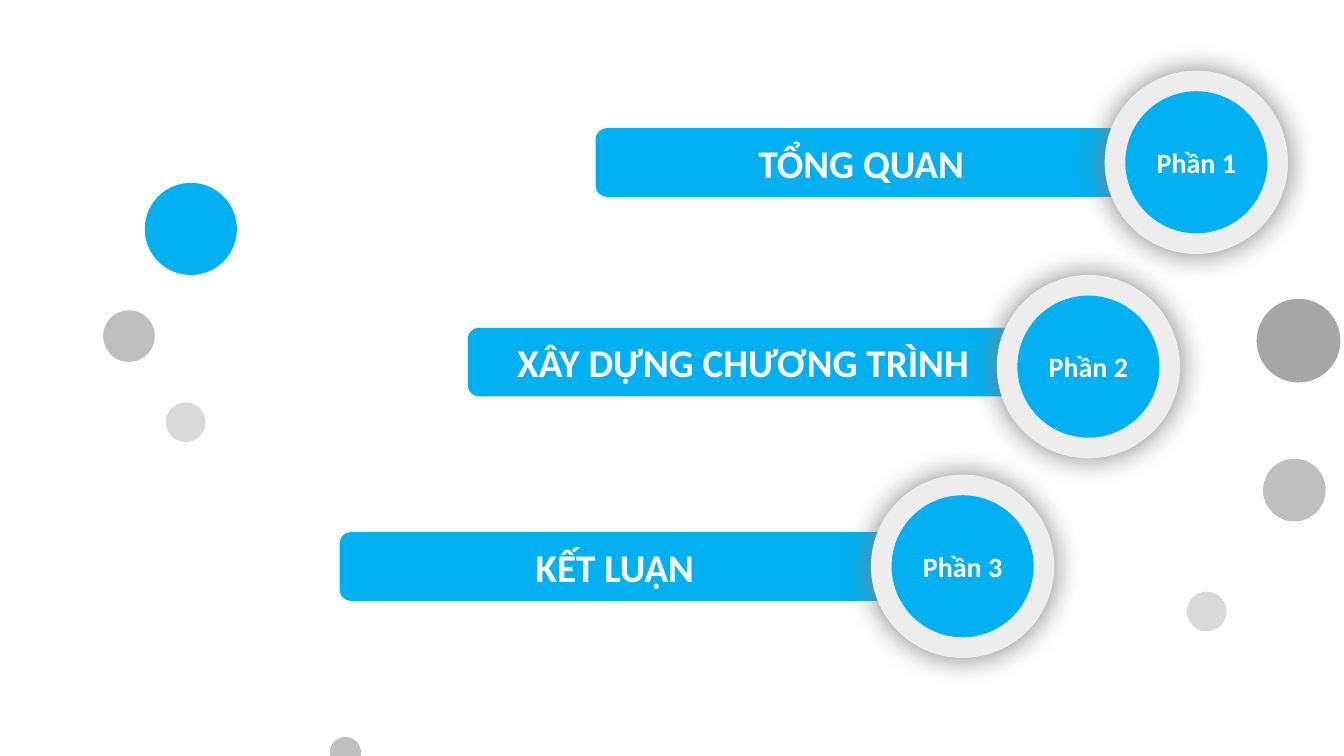
from lxml.etree import SubElement
from pptx import Presentation
from pptx.dml.color import RGBColor
from pptx.enum.shapes import MSO_SHAPE
from pptx.enum.text import MSO_ANCHOR, PP_ALIGN
from pptx.oxml.ns import qn
from pptx.util import Cm, Pt

BLUE = "00B0F0"
RING_SIZE = 4.62
DISC_SIZE = 3.58
DISC_INSET = (RING_SIZE - DISC_SIZE) / 2
BAR_HEIGHT = 1.73


def add_filled(shapes, kind, left, top, width, height, color):
    shape = shapes.add_shape(kind, Cm(left), Cm(top), Cm(width), Cm(height))
    shape.shadow.inherit = False
    shape.fill.solid()
    shape.fill.fore_color.rgb = RGBColor.from_string(color)
    shape.line.fill.background()
    return shape


def write_text(shape, text, size, color="FFFFFF", font="Calibri", bold=True):
    frame = shape.text_frame
    frame.word_wrap = True
    frame.vertical_anchor = MSO_ANCHOR.MIDDLE
    para = frame.paragraphs[0]
    para.alignment = PP_ALIGN.CENTER
    span = para.add_run()
    span.text = text
    span.font.name = font
    span.font.size = Pt(size)
    span.font.bold = bold
    span.font.color.rgb = RGBColor.from_string(color)


deck = Presentation()
deck.slide_width = Cm(33.87)
deck.slide_height = Cm(19.05)
page = deck.slides.add_slide(deck.slide_layouts[6])

sections = [
    ("TỔNG QUAN", 15.01, 3.23, 13.39, 27.84, 1.78),
    ("XÂY DỰNG CHƯƠNG TRÌNH", 11.79, 8.26, 13.87, 25.12, 6.93),
    ("KẾT LUẬN", 8.56, 13.41, 13.87, 21.95, 11.96),
]
for number, (title, bar_left, bar_top, bar_width, ring_left, ring_top) in enumerate(sections, 1):
    bar = add_filled(page.shapes, MSO_SHAPE.ROUNDED_RECTANGLE,
                     bar_left, bar_top, bar_width, BAR_HEIGHT, BLUE)
    write_text(bar, title, size=28)

    badge = page.shapes.add_group_shape()
    ring = add_filled(badge.shapes, MSO_SHAPE.OVAL,
                      ring_left, ring_top, RING_SIZE, RING_SIZE, "EDEDED")
    effects = ring._element.spPr.find(qn("a:effectLst"))
    shadow = SubElement(effects, qn("a:outerShdw"), blurRad=str(Pt(21)), dist="0",
                        dir="0", algn="ctr", rotWithShape="0")
    SubElement(shadow, qn("a:srgbClr"), val="808080")

    disc = add_filled(badge.shapes, MSO_SHAPE.OVAL, ring_left + DISC_INSET,
                      ring_top + DISC_INSET, DISC_SIZE, DISC_SIZE, BLUE)
    write_text(disc, f"Phần {number}", size=20)

dots = [
    (31.67, 7.53, 2.11, "A6A6A6"),
    (31.83, 11.56, 1.58, "BFBFBF"),
    (29.91, 14.91, 1, "D9D9D9"),
    (3.65, 4.61, 2.32, BLUE),
    (2.6, 7.82, 1.3, "BFBFBF"),
    (4.18, 10.14, 1, "D9D9D9"),
    (8.31, 18.57, 0.79, "BFBFBF"),
]
for left, top, size, color in dots:
    add_filled(page.shapes, MSO_SHAPE.OVAL, left, top, size, size, color)

deck.save("out.pptx")
